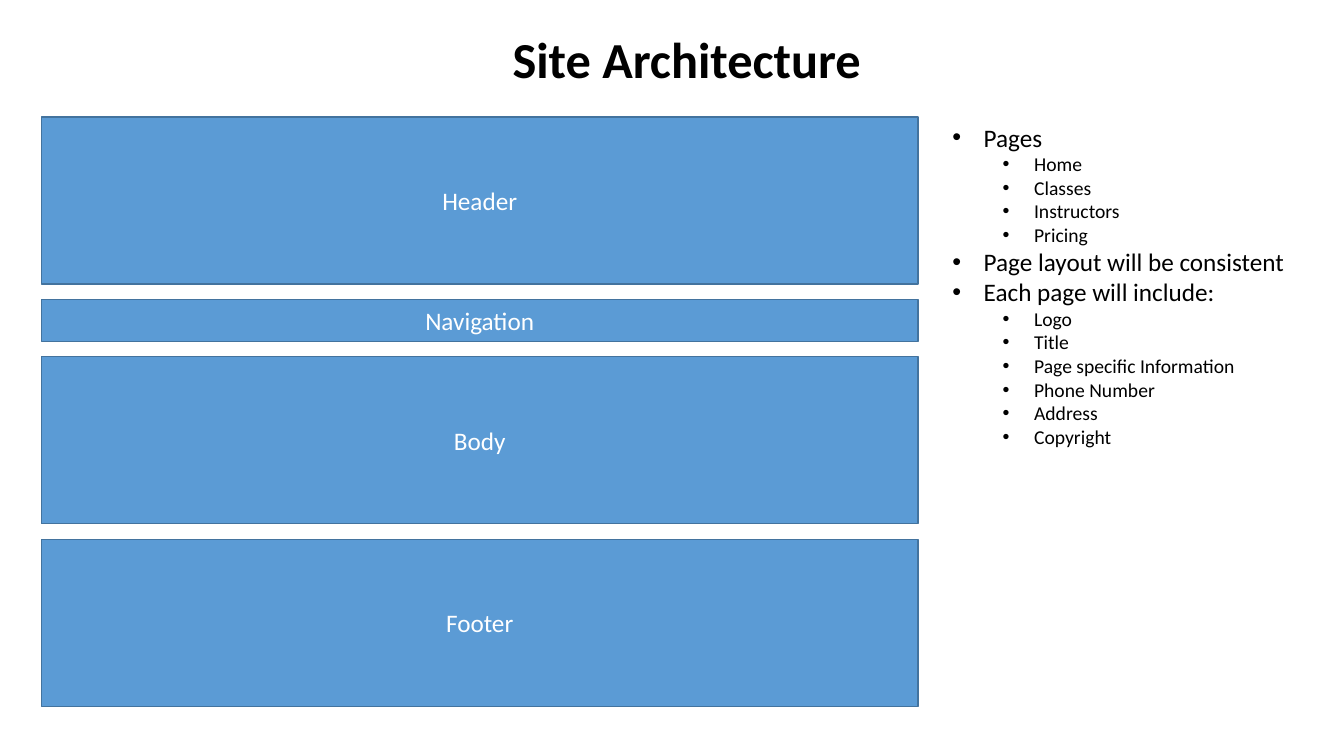
from typing import NamedTuple

from lxml.etree import SubElement
from pptx import Presentation
from pptx.dml.color import RGBColor
from pptx.enum.shapes import MSO_SHAPE
from pptx.enum.text import MSO_ANCHOR as Anchor, MSO_AUTO_SIZE as AutoSize, PP_ALIGN as Align
from pptx.oxml.ns import qn
from pptx.util import Cm, Pt

BLUE = RGBColor(0x5B, 0x9B, 0xD5)
DARK_BLUE = RGBColor(0x43, 0x73, 0x9E)
WHITE = RGBColor(0xFF, 0xFF, 0xFF)
BLACK = RGBColor(0x00, 0x00, 0x00)

FONT = "Calibri"
LEFT, TOP, BLOCK_WIDTH, GAP = 1.04, 2.95, 22.1, 0.39  # cm
HANGING, LEVEL_STEP = 0.79, 1.27  # cm
LEVEL_SIZES = (18, 14)


class Block(NamedTuple):
    """A band of the page layout, with its height in cm."""
    label: str
    height: float


class Item(NamedTuple):
    """A main bullet and the bullets under it."""
    text: str
    children: tuple[str, ...] = ()


BLOCKS = (
    Block("Header", 4.21),
    Block("Navigation", 1.05),
    Block("Body", 4.21),
    Block("Footer", 4.21),
)
ITEMS = (
    Item("Pages", ("Home", "Classes", "Instructors", "Pricing")),
    Item("Page layout will be consistent"),
    Item("Each page will include:",
         ("Logo", "Title", "Page specific Information",
          "Phone Number", "Address", "Copyright")),
)


def set_all(target, values: dict) -> None:
    """Set every attribute named in values on target."""
    for name, value in values.items():
        setattr(target, name, value)


def write(p, text: str, size: float, color: RGBColor, bold: bool = False) -> None:
    """Add a formatted run to a paragraph."""
    r = p.add_run()
    r.text = text
    set_all(r.font, {"name": FONT, "size": Pt(size), "bold": bold})
    r.font.color.rgb = color


def add_title(s, text: str) -> None:
    """Place and format the title placeholder."""
    sp = s.shapes.title
    set_all(sp, {"left": Cm(LEFT), "top": Cm(0.58),
                 "width": Cm(32.54), "height": Cm(1.8)})
    tf = sp.text_frame
    set_all(tf, {"auto_size": AutoSize.NONE, "vertical_anchor": Anchor.MIDDLE})
    p = tf.paragraphs[0]
    p.alignment = Align.CENTER
    write(p, text, 36, BLACK, bold=True)


def add_block(s, block: Block, top: float) -> None:
    """Draw one labelled band at the given top, in cm."""
    sp = s.shapes.add_shape(MSO_SHAPE.RECTANGLE, Cm(LEFT), Cm(top),
                            Cm(BLOCK_WIDTH), Cm(block.height))
    sp.shadow.inherit = False
    sp.fill.solid()
    sp.fill.fore_color.rgb = BLUE
    sp.line.color.rgb = DARK_BLUE
    sp.line.width = Pt(1)
    tf = sp.text_frame
    tf.vertical_anchor = Anchor.MIDDLE
    p = tf.paragraphs[0]
    p.alignment = Align.CENTER
    write(p, block.label, 18, WHITE)


def add_bullet(p, text: str, level: int) -> None:
    """Fill a paragraph as a bullet of the given level."""
    p.level = level
    pPr = p._p.get_or_add_pPr()
    pPr.set("marL", str(Cm(HANGING + level * LEVEL_STEP)))
    pPr.set("indent", str(-Cm(HANGING)))
    SubElement(pPr, qn("a:buFont")).set("typeface", "Arial")
    SubElement(pPr, qn("a:buChar")).set("char", "•")
    write(p, text, LEVEL_SIZES[level], BLACK)


def add_list(s, items: tuple[Item, ...]) -> None:
    """Add the two-level list beside the blocks."""
    sp = s.shapes.add_textbox(Cm(23.75), Cm(TOP), Cm(9.55), Cm(8.56))
    tf = sp.text_frame
    set_all(tf, {"word_wrap": True, "auto_size": AutoSize.SHAPE_TO_FIT_TEXT})
    lines = [(text, level) for item in items
             for text, level in [(item.text, 0), *((c, 1) for c in item.children)]]
    for i, (text, level) in enumerate(lines):
        p = tf.add_paragraph() if i else tf.paragraphs[0]
        add_bullet(p, text, level)


def main() -> None:
    """Build the slide and save it."""
    prs = Presentation()
    set_all(prs, {"slide_width": Cm(33.87), "slide_height": Cm(19.05)})
    s = prs.slides.add_slide(prs.slide_layouts.get_by_name("Title Only"))
    add_title(s, "Site Architecture")
    top = TOP
    for block in BLOCKS:
        add_block(s, block, top)
        top += block.height + GAP
    add_list(s, ITEMS)
    prs.save("out.pptx")


main()
